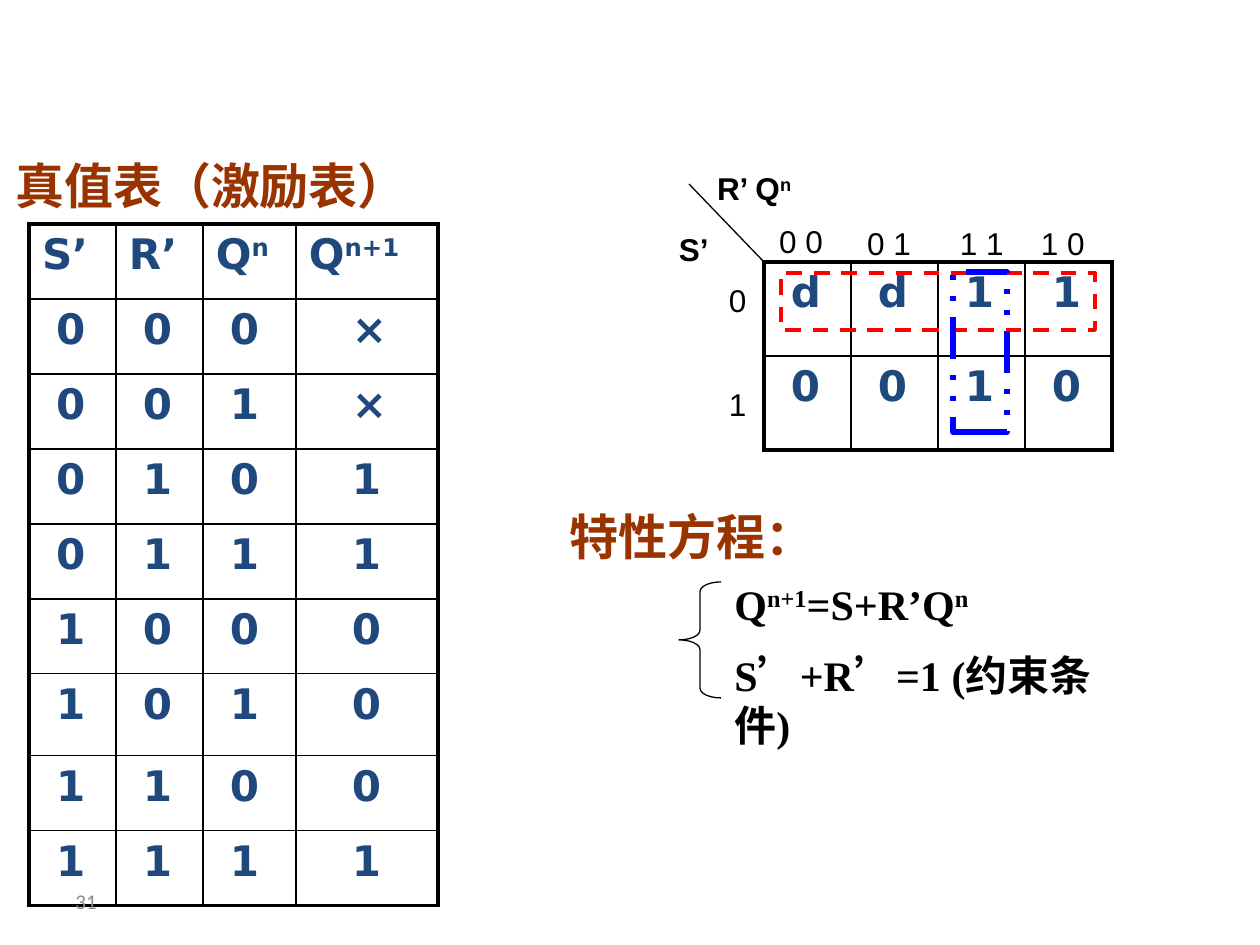
from lxml import etree
from pptx import Presentation
from pptx.dml.color import RGBColor
from pptx.enum.dml import MSO_LINE
from pptx.enum.shapes import MSO_CONNECTOR, MSO_SHAPE
from pptx.enum.text import MSO_ANCHOR
from pptx.oxml.ns import qn
from pptx.util import Emu, Pt

PX = 914400 / 126
MIDDLE = MSO_ANCHOR.MIDDLE
STRAIGHT = MSO_CONNECTOR.STRAIGHT
BRACE = MSO_SHAPE.LEFT_BRACE
RECTANGLE = MSO_SHAPE.RECTANGLE
DASH = MSO_LINE.DASH
DASH_DOT_DOT = MSO_LINE.DASH_DOT_DOT
COLORS = {"black": "000000", "navy": "1F497D", "brown": "993300",
          "gray": "8C8C8C", "red": "FF0000", "blue": "0000FF"}


def px(*lengths):
    return [Emu(round(length * PX)) for length in lengths]


def write(paragraph, text, font_name, size, color, bold):
    for index, part in enumerate(text.split("^")):
        if part:
            run = paragraph.add_run()
            run.text = part
            if index % 2:
                run._r.get_or_add_rPr().set("baseline", "30000")
    font = paragraph.font
    font.name, font.size, font.bold = font_name, Pt(size), bold
    font.color.rgb = RGBColor.from_string(COLORS[color])


presentation = Presentation()
presentation.slide_width, presentation.slide_height = px(1260, 945)
slide = presentation.slides.add_slide(presentation.slide_layouts[6])
shapes = slide.shapes

truth_rows = [["S’", "R’", "Q^n", "Q^n+1"]]
for number, next_state in enumerate("××110001"):
    truth_rows.append([*f"{number:03b}", next_state])
map_rows = ["dd11", "0010"]

tables = [
    (29, 224, [87, 87, 93, 142], [75] * 6 + [82, 75, 75], truth_rows),
    (764, 262, [87] * 4, [94] * 2, map_rows),
]
for left, top, widths, heights, rows in tables:
    frame = shapes.add_table(len(rows), len(widths),
                             *px(left, top, sum(widths), sum(heights)))
    table = frame.table
    table.first_row = table.horz_banding = False
    for column, width in zip(table.columns, px(*widths)):
        column.width = width
    for row, height in zip(table.rows, px(*heights)):
        row.height = height
    for row_index, values in enumerate(rows):
        for column_index, value in enumerate(values):
            cell = table.cell(row_index, column_index)
            is_header = rows is truth_rows and row_index == 0
            is_next_state = rows is truth_rows and column_index == 3
            indent = 13 if is_header else 56 if is_next_state else 27
            cell.margin_left = px(indent)[0]
            write(cell.text_frame.paragraphs[0], value, "DejaVu Sans", 24, "navy", True)
            outer_sides = {"lnL": column_index == 0,
                           "lnR": column_index == len(widths) - 1,
                           "lnT": row_index == 0,
                           "lnB": row_index == len(rows) - 1}
            properties = cell._tc.get_or_add_tcPr()
            for side, is_outer in outer_sides.items():
                border = etree.SubElement(properties, qn(f"a:{side}"),
                                          w=str(int(Pt(2.25 if is_outer else 1))))
                fill = etree.SubElement(border, qn("a:solidFill"))
                etree.SubElement(fill, qn("a:srgbClr"), val=COLORS["black"])
            cell.fill.background()

outlines = [
    (BRACE, 679, 582, 42, 116, "black", 0.75, None),
    (RECTANGLE, 781, 273, 314, 57, "red", 2.25, DASH),
    (RECTANGLE, 953, 272, 54, 160, "blue", 3, DASH_DOT_DOT),
]
for kind, left, top, width, height, color, weight, dash in outlines:
    shape = shapes.add_shape(kind, *px(left, top, width, height))
    shape.shadow.inherit = False
    shape.fill.background()
    shape.line.color.rgb = RGBColor.from_string(COLORS[color])
    shape.line.width = Pt(weight)
    if dash:
        shape.line.dash_style = dash
    if kind == BRACE:
        shape.adjustments[0] = 0.23

diagonal = shapes.add_connector(STRAIGHT, *px(764, 262, 689, 184))
diagonal.line.color.rgb = RGBColor.from_string(COLORS["black"])
diagonal.line.width = Pt(0.75)
etree.SubElement(diagonal._element.spPr, qn("a:effectLst"))

map_labels = [
    ("R’ Q^n", 717, 169, 135, True), ("S’", 679, 230, 64, True),
    ("0 0", 779, 222, 54, False), ("0 1", 867, 224, 54, False),
    ("1 1", 960, 224, 54, False), ("1 0", 1041, 224, 54, False),
    ("0", 729, 281, 25, False), ("1", 729, 385, 25, False),
]
texts = [
    (["31"], 63, 876, 294, 50, "Calibri", 12, "gray", False),
    (["Q^n+1^=S+R’Q^n", "S’+R’=1 (约束条件)"], 722, 572, 407, 139,
     "Times New Roman", 24, "black", True),
    (["特性方程："], 557, 500, 588, 72, "Times New Roman", 28, "brown", True),
    (["真值表（激励表）"], 3, 149, 462, 72, "Times New Roman", 28, "brown", True),
]
for label, left, top, width, bold in map_labels:
    texts.append(([label], left, top, width, 38, "Arial", 18, "black", bold))

for lines, left, top, width, height, font_name, size, color, bold in texts:
    text_frame = shapes.add_textbox(*px(left, top, width, height)).text_frame
    text_frame.word_wrap = True
    if font_name == "Arial":
        text_frame.margin_left = text_frame.margin_right = 0
        text_frame.margin_top = text_frame.margin_bottom = 0
    if font_name == "Calibri":
        text_frame.vertical_anchor = MIDDLE
    for index, line in enumerate(lines):
        paragraph = text_frame.add_paragraph() if index else text_frame.paragraphs[0]
        if index:
            paragraph.space_before = Pt(size / 2)
        write(paragraph, line, font_name, size, color, bold)

presentation.save("out.pptx")
